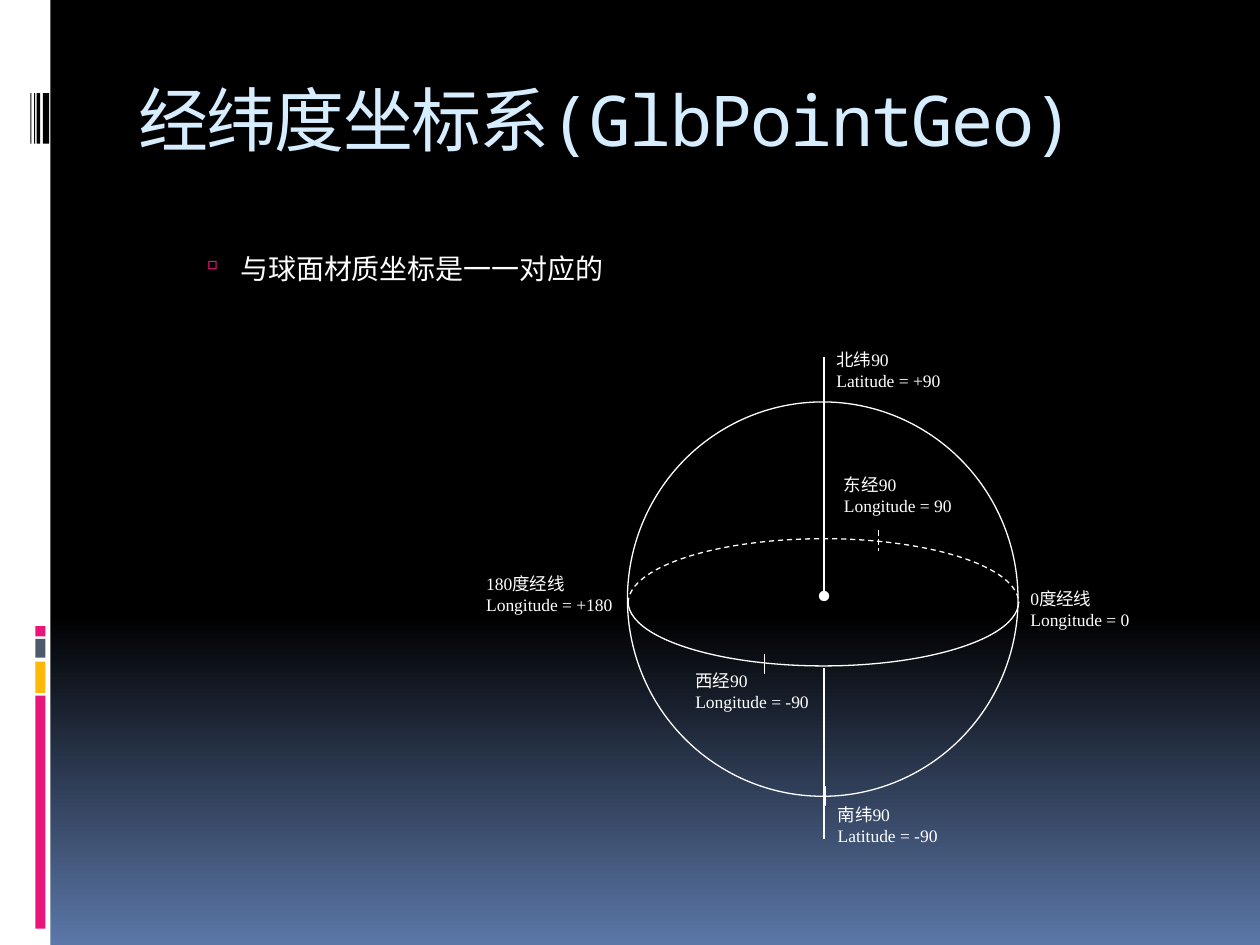
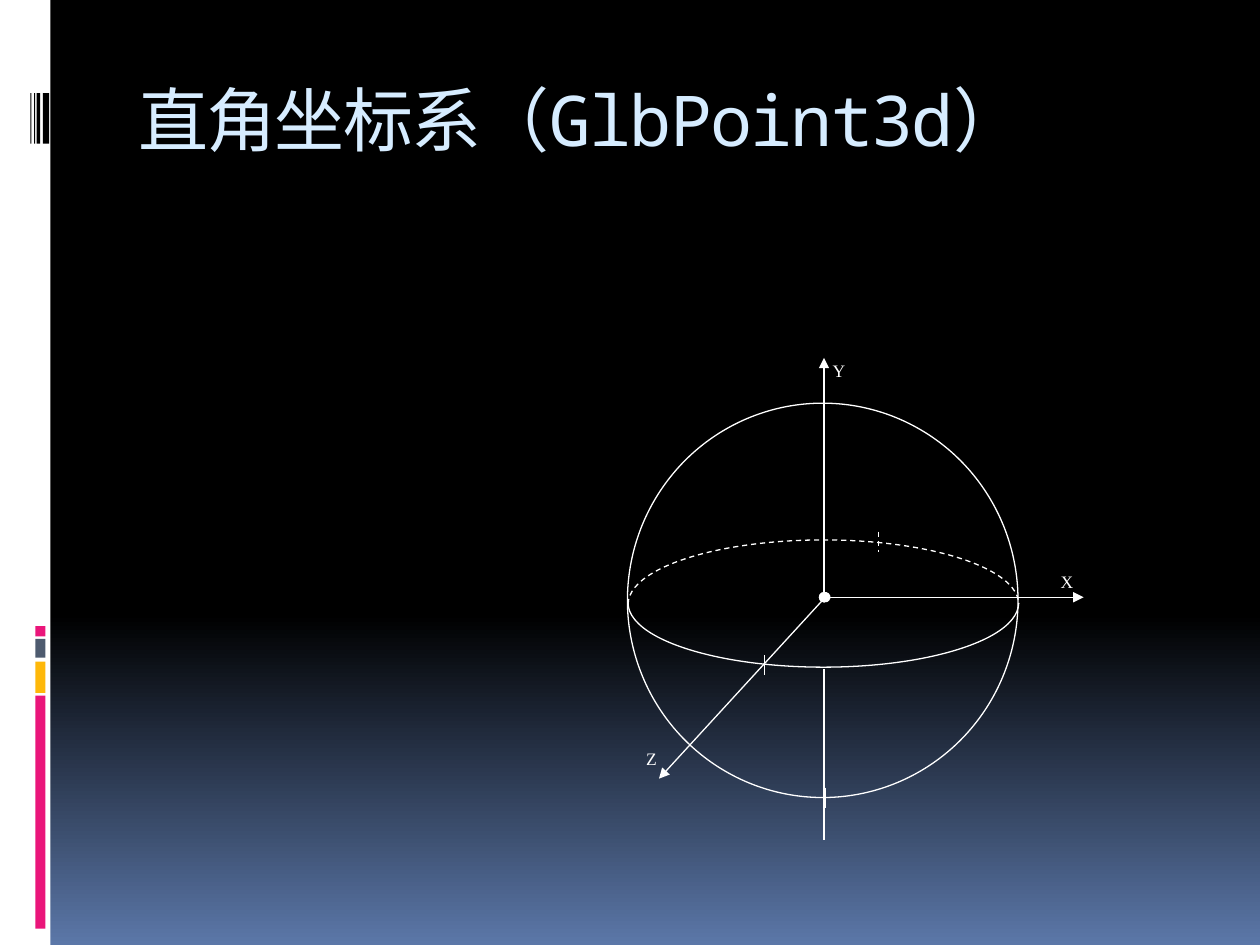
from dataclasses import dataclass

from lxml.etree import SubElement
from pptx import Presentation
from pptx.dml.color import RGBColor
from pptx.enum.dml import MSO_LINE
from pptx.enum.shapes import MSO_CONNECTOR, MSO_SHAPE
from pptx.enum.text import MSO_ANCHOR, PP_ALIGN
from pptx.oxml.ns import qn
from pptx.util import Inches, Pt


@dataclass(frozen=True)
class Theme:
    black: str = "000000"
    white: str = "FFFFFF"
    blue: str = "5B77A8"
    title: str = "D6ECFF"
    pink: str = "EA157A"
    gold: str = "FEB80A"
    slate: str = "4E5B6F"
    title_font: str = "Noto Sans Mono"
    body_font: str = "Calibri"
    label_font: str = "Times New Roman"
    title_size: int = 40
    body_size: int = 16
    label_size: int = 10
    line_width: float = 0.75


def write(frame, text, *, font, size, color, spacing=None):
    """Fill a text frame, one paragraph for each line of the text."""
    frame.word_wrap = True
    frame.vertical_anchor = MSO_ANCHOR.TOP
    for index, line in enumerate(text.split("\n")):
        para = frame.add_paragraph() if index else frame.paragraphs[0]
        para.alignment = PP_ALIGN.LEFT
        span = para.add_run()
        span.text = line
        span.font.name, span.font.size = font, Pt(size)
        span.font.color.rgb = RGBColor.from_string(color)
        properties = span.font._element
        properties.set("lang", "zh-CN")
        if spacing is not None:
            properties.set("spc", str(spacing * 100))


class Deck:
    def __init__(self, theme):
        self.theme = theme
        self.file = Presentation()
        self.file.slide_width, self.file.slide_height = Inches(10), Inches(7.5)
        self.page = None
        self.shapes = None

    def add_page(self, title):
        theme = self.theme
        self.page = self.file.slides.add_slide(self.file.slide_layouts[5])
        self.shapes = self.page.shapes
        # Background: black, fading to blue in the lower third
        fill = self.page.background.fill
        fill.gradient()
        fill.gradient_angle = 270
        for stop, place, color in zip(fill.gradient_stops, (0.65, 1),
                                      (theme.black, theme.blue)):
            stop.position = place
            stop.color.rgb = RGBColor.from_string(color)
        self.side_band()
        # Title
        box = self.page.shapes.title
        box.left, box.top = Inches(1), Inches(0.56)
        box.width, box.height = Inches(8.5), Inches(1)
        write(box.text_frame, title, font=theme.title_font,
              size=theme.title_size, color=theme.title, spacing=-1)

    def side_band(self):
        theme = self.theme
        self.block(0, 0, 0.4, 7.5, theme.white)
        for top, height, color in ((5.52, 1.85, theme.pink), (5.25, 0.25, theme.gold),
                                   (5.07, 0.15, theme.slate), (4.97, 0.08, theme.pink)):
            self.block(0.28, top, 0.08, height, color)
        for left, width in ((0.34, 0.05), (0.29, 0.03), (0.27, 0.01), (0.24, 0.01)):
            self.block(left, 0.74, width, 0.4, theme.black)

    def start_group(self):
        self.shapes = self.page.shapes.add_group_shape().shapes

    def block(self, left, top, width, height, color):
        box = self.shapes.add_shape(MSO_SHAPE.RECTANGLE, Inches(left), Inches(top),
                                    Inches(width), Inches(height))
        box.shadow.inherit = False
        box.fill.solid()
        box.fill.fore_color.rgb = RGBColor.from_string(color)
        box.line.fill.background()

    def stroke(self, shape, dashed):
        shape.line.color.rgb = RGBColor.from_string(self.theme.white)
        shape.line.width = Pt(self.theme.line_width)
        if dashed:
            shape.line.dash_style = MSO_LINE.DASH

    def outline(self, kind, left, top, width, height, rotation=0, dashed=False):
        shape = self.shapes.add_shape(kind, Inches(left), Inches(top),
                                      Inches(width), Inches(height))
        shape.shadow.inherit = False
        shape.fill.background()
        shape.rotation = rotation
        self.stroke(shape, dashed)
        return shape

    def line(self, start, end, head=None, tail=None, dashed=False):
        line = self.shapes.add_connector(
            MSO_CONNECTOR.STRAIGHT, *(Inches(value) for value in (*start, *end)))
        self.stroke(line, dashed)
        for tag, kind in (("a:headEnd", head), ("a:tailEnd", tail)):
            if kind:
                SubElement(line.line._get_or_add_ln(), qn(tag), type=kind)
        SubElement(line._element.spPr, qn("a:effectLst"))

    def label(self, text, left, top, width, height):
        box = self.shapes.add_textbox(Inches(left), Inches(top),
                                      Inches(width), Inches(height))
        write(box.text_frame, text, font=self.theme.label_font,
              size=self.theme.label_size, color=self.theme.white)

    def bullet(self, text):
        theme = self.theme
        box = self.shapes.add_textbox(Inches(1), Inches(1.95), Inches(8.5), Inches(5))
        write(box.text_frame, text, font=theme.body_font,
              size=theme.body_size, color=theme.white)
        properties = box.text_frame.paragraphs[0]._p.get_or_add_pPr()
        properties.set("marL", str(Inches(0.81)))
        properties.set("indent", str(Inches(-0.31)))
        color = SubElement(properties, qn("a:buClr"))
        SubElement(color, qn("a:srgbClr"), val=theme.pink)
        SubElement(properties, qn("a:buSzPct"), val="90000")
        SubElement(properties, qn("a:buChar"), char="▫")

    def globe(self, shift=0, axis_head=None):
        """Sphere, equator, tick marks and polar axis, moved down by shift."""
        self.outline(MSO_SHAPE.OVAL, 4.98, 3.19 + shift, 3.1, 3.13)
        # Equator: solid front half, dashed back half
        for top, rotation, dashed in ((3.48, 270, False), (2.98, 90, True)):
            half = self.outline(MSO_SHAPE.LEFT_BRACKET, 6.28, top + shift, 0.51, 3.1,
                                rotation, dashed)
            half.adjustments[0] = 3.1
        # Tick marks
        for x, top, dashed in ((6.54, 3.11, False), (6.55, 6.24, False),
                               (6.07, 5.19, False), (6.97, 4.21, True)):
            self.line((x, top + shift), (x, top + 0.16 + shift), dashed=dashed)
        # Polar axis
        self.line((6.54, 2.83 + shift), (6.54, 4.73 + shift), head=axis_head, tail="oval")
        self.line((6.54, 5.3 + shift), (6.54, 6.66 + shift))


def longitude_latitude_page(deck):
    deck.add_page("经纬度坐标系(GlbPointGeo)")
    deck.bullet("与球面材质坐标是一一对应的")
    deck.start_group()
    deck.globe()
    for text, *place in (
        ("北纬90\nLatitude = +90", 6.54, 2.72, 1.13, 0.65),
        ("南纬90\nLatitude = -90", 6.55, 6.33, 1.13, 0.5),
        ("0度经线\nLongitude = 0", 8.08, 4.62, 1.13, 0.55),
        ("180度经线\nLongitude = +180", 3.76, 4.5, 1.31, 0.55),
        ("东经90\nLongitude = 90", 6.6, 3.71, 1.37, 0.5),
        ("西经90\nLongitude = -90", 5.42, 5.27, 1.37, 0.5),
    ):
        deck.label(text, *place)


def cartesian_page(deck):
    deck.add_page("直角坐标系（GlbPoint3d）")
    deck.start_group()
    deck.globe(shift=0.01, axis_head="triangle")
    for text, *place in (("Y", 6.51, 2.81, 0.43, 0.28), ("X", 8.32, 4.48, 0.34, 0.31),
                         ("Z", 5.03, 5.89, 0.36, 0.32)):
        deck.label(text, *place)
    # X and Z axes, from tip to centre
    for tip, centre in (((8.6, 4.74), (6.54, 4.74)), ((5.23, 6.18), (6.55, 4.74))):
        deck.line(tip, centre, head="triangle", tail="oval")


def main():
    deck = Deck(Theme())
    longitude_latitude_page(deck)
    cartesian_page(deck)
    deck.file.save("out.pptx")


if __name__ == "__main__":
    main()
